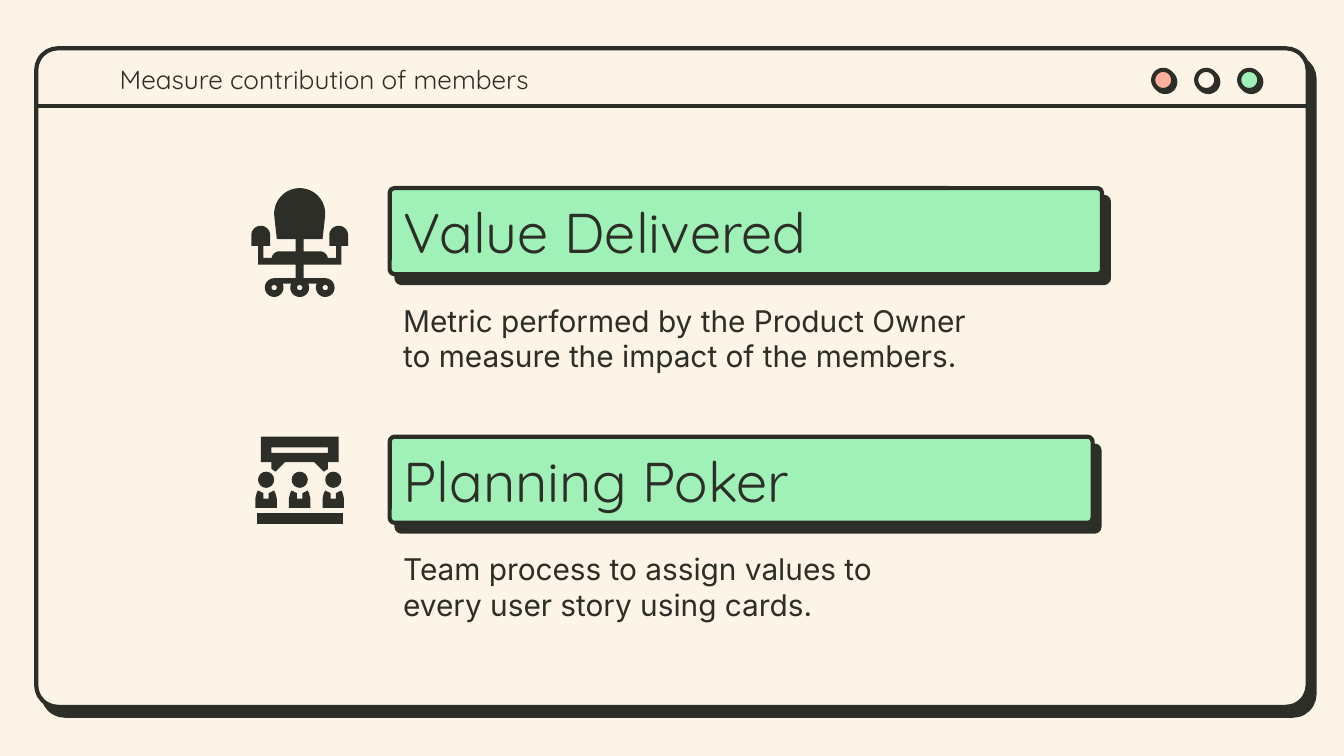
from math import cos, radians, sin

from lxml import etree
from pptx import Presentation
from pptx.dml.color import RGBColor
from pptx.enum.shapes import MSO_CONNECTOR as Connector, MSO_SHAPE as Shape
from pptx.enum.text import MSO_ANCHOR as Anchor, MSO_AUTO_SIZE as AutoSize, PP_ALIGN as Align
from pptx.oxml.ns import qn
from pptx.util import Inches, Pt

# Content
TITLE = "Measure contribution of members"
TOPICS = [  # heading, bar width, description, description width
    ("Value Delivered", 5.3,
     "Metric performed by the Product Owner to measure the impact of the members.", 4.43),
    ("Planning Poker", 5.23,
     "Team process to assign values to every user story using cards.", 4.21),
]
BUTTONS = ["coral", "cream", "green"]

THEME = {
    "ink": "2D2E27", "cream": "FCF4E6", "green": "9FF1B7", "coral": "FFB09C",
    "line": Pt(2.25),
    "title": {"name": "Quicksand", "size": Pt(14)},
    "heading": {"name": "Quicksand", "size": Pt(30)},
    "body": {"name": "Inter", "size": Pt(16)},
}

# Layout in inches
SLIDE_WIDTH = 10
SLIDE_HEIGHT = SLIDE_WIDTH * 9 / 16
WINDOW = (0.27, 0.36, 9.46, 4.9)
BAR_LEFT, FIRST_TOP, TOPIC_STEP = 2.9, 1.4, 1.85
ICON_CENTRE = 2.23


def color(name):
    return RGBColor.from_string(THEME[name])


def add_shadow(shape, distance, angle):
    effects = etree.SubElement(shape.element.spPr, qn("a:effectLst"))
    shadow = etree.SubElement(effects, qn("a:outerShdw"), dist=str(Pt(distance)),
                              dir=str(angle * 60000), algn="bl", rotWithShape="0")
    etree.SubElement(shadow, qn("a:srgbClr"), val=THEME["ink"])


def add_outlined(kind, box, fill, shadow, corner=None):
    shape = slide.shapes.add_shape(kind, *map(Inches, box))
    if corner is not None:
        shape.adjustments[0] = corner
    shape.fill.solid()
    shape.fill.fore_color.rgb = color(fill)
    shape.line.color.rgb = color("ink")
    shape.line.width = THEME["line"]
    add_shadow(shape, *shadow)


def write(placeholder, box, text, style):
    for name, value in zip(("left", "top", "width", "height"), box):
        setattr(placeholder, name, Inches(value))
    frame = placeholder.text_frame
    frame.text = text
    margins = dict.fromkeys(
        ("margin_left", "margin_right", "margin_top", "margin_bottom"), Inches(0.1))
    settings = {"word_wrap": True, "auto_size": AutoSize.NONE,
                "vertical_anchor": Anchor.MIDDLE, **margins}
    for name, value in settings.items():
        setattr(frame, name, value)
    paragraph = frame.paragraphs[0]
    paragraph.alignment = Align.LEFT
    paragraph.space_before = Pt(0)
    properties = paragraph._p.get_or_add_pPr()
    properties.set("marL", "0")
    properties.set("indent", "0")
    etree.SubElement(properties, qn("a:buNone"))
    font = paragraph.runs[0].font
    for name, value in {**THEME[style], "bold": False}.items():
        setattr(font, name, value)
    font.color.rgb = color("ink")
    # Bring the text in front of the shapes drawn so far
    placeholder.element.getparent().append(placeholder.element)


def arc(x, y, radius, start, end, steps=16):
    angles = [radians(start + (end - start) * i / steps) for i in range(steps + 1)]
    return [(x + radius * cos(a), y + radius * sin(a)) for a in angles]


def mirrored(half):
    return half + [(2 * ICON_CENTRE - x, y) for x, y in reversed(half)]


def add_outline(shapes, *contours):
    builder = None
    for contour in contours:
        first, *rest = [(Inches(x), Inches(y)) for x, y in contour]
        if builder is None:
            builder = shapes.build_freeform(*first, scale=1.0)
        else:
            builder.move_to(*first)
        builder.add_line_segments(rest, close=True)
    shape = builder.convert_to_shape()
    shape.shadow.inherit = False
    shape.fill.solid()
    shape.fill.fore_color.rgb = color("ink")
    shape.line.fill.background()


def add_chair_icon():
    half = [
        *arc(ICON_CENTRE, 1.59, 0.19, 270, 173),  # backrest
        (2.06, 1.78), (2.2, 1.78), (2.2, 1.87),
        *arc(2.08, 1.93, 0.06, 270, 190),  # seat
        (1.96, 1.92), (1.96, 1.83), (2.01, 1.83),
        *arc(1.94, 1.75, 0.07, 0, -180),  # armrest
        (1.87, 1.83), (1.92, 1.83), (1.92, 1.97), (2.2, 1.97), (2.2, 2.07),
        *arc(2.04, 2.14, 0.07, 270, -25),  # casters
        *arc(ICON_CENTRE, 2.14, 0.07, 205, 90),
    ]
    hubs = [arc(ICON_CENTRE + offset, 2.14, 0.02, 0, 360) for offset in (-0.19, 0, 0.19)]
    add_outline(slide.shapes, mirrored(half), *hubs)


def add_meeting_icon():
    shapes = slide.shapes.add_group_shape().shapes
    sign = mirrored([(1.94, 3.25), (1.94, 3.44), (2.02, 3.44), (2.02, 3.49),
                     (2.05, 3.51), (2.12, 3.44)])
    add_outline(shapes, sign, mirrored([(2.02, 3.33), (2.02, 3.37)]))
    add_outline(shapes, mirrored([(1.91, 3.82), (1.91, 3.9)]))  # table
    torso = mirrored([(2.21, 3.71), (2.21, 3.67), (2.17, 3.65), (2.16, 3.67),
                      (2.15, 3.71), (2.15, 3.78)])
    for offset in (-0.25, 0, 0.25):
        add_outline(shapes, arc(ICON_CENTRE + offset, 3.57, 0.06, 0, 360))
        add_outline(shapes, [(x + offset, y) for x, y in torso])


presentation = Presentation()
presentation.slide_width = Inches(SLIDE_WIDTH)
presentation.slide_height = Inches(SLIDE_HEIGHT)
comparison_layout = presentation.slide_layouts[4]
slide = presentation.slides.add_slide(comparison_layout)
slide.background.fill.solid()
slide.background.fill.fore_color.rgb = color("cream")
title, *topic_placeholders = list(slide.placeholders)[:5]

# Window frame, title bar and buttons
add_outlined(Shape.ROUNDED_RECTANGLE, WINDOW, "cream", (6, 52), 0.033)
divider = slide.shapes.add_connector(
    Connector.STRAIGHT, *map(Inches, (0.27, 0.79, 9.72, 0.79)))
divider.line.color.rgb = color("ink")
divider.line.width = THEME["line"]
etree.SubElement(divider.element.spPr, qn("a:effectLst"))
for index, fill in enumerate(BUTTONS):
    add_outlined(Shape.OVAL, (8.58 + 0.32 * index, 0.52, 0.15, 0.15), fill, (1.5, 45))
write(title, (0.79, 0.41, 4.6, 0.36), TITLE, "title")

# Topics: heading bar with a description below
for index, (heading, bar_width, description, text_width) in enumerate(TOPICS):
    top = FIRST_TOP + TOPIC_STEP * index
    heading_box, description_box = topic_placeholders[2 * index:2 * index + 2]
    add_outlined(Shape.ROUNDED_RECTANGLE, (BAR_LEFT, top, bar_width, 0.64),
                 "green", (6, 52), 0.057)
    write(heading_box, (BAR_LEFT, top + 0.19, 5.3, 0.26), heading, "heading")
    write(description_box, (BAR_LEFT, top + 0.85, text_width, 0.53), description, "body")

# Icons
add_chair_icon()
add_meeting_icon()

presentation.save("out.pptx")
